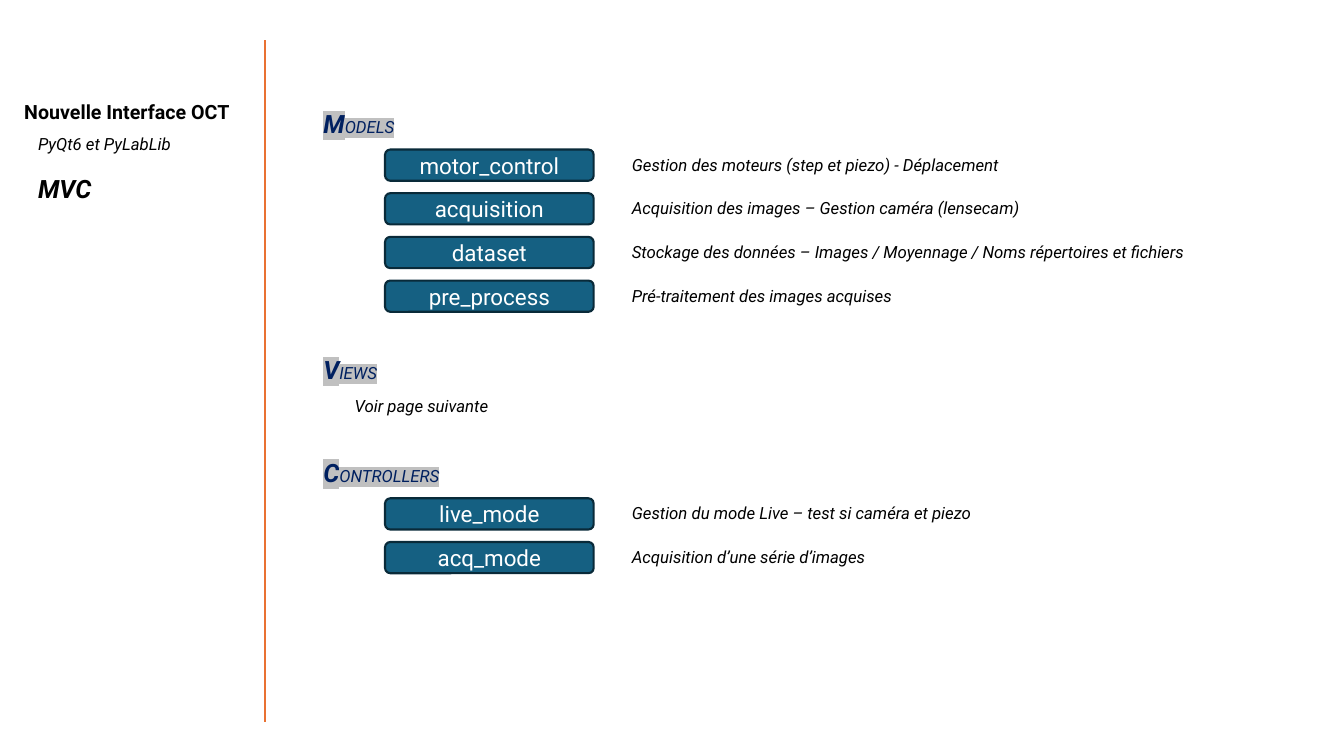
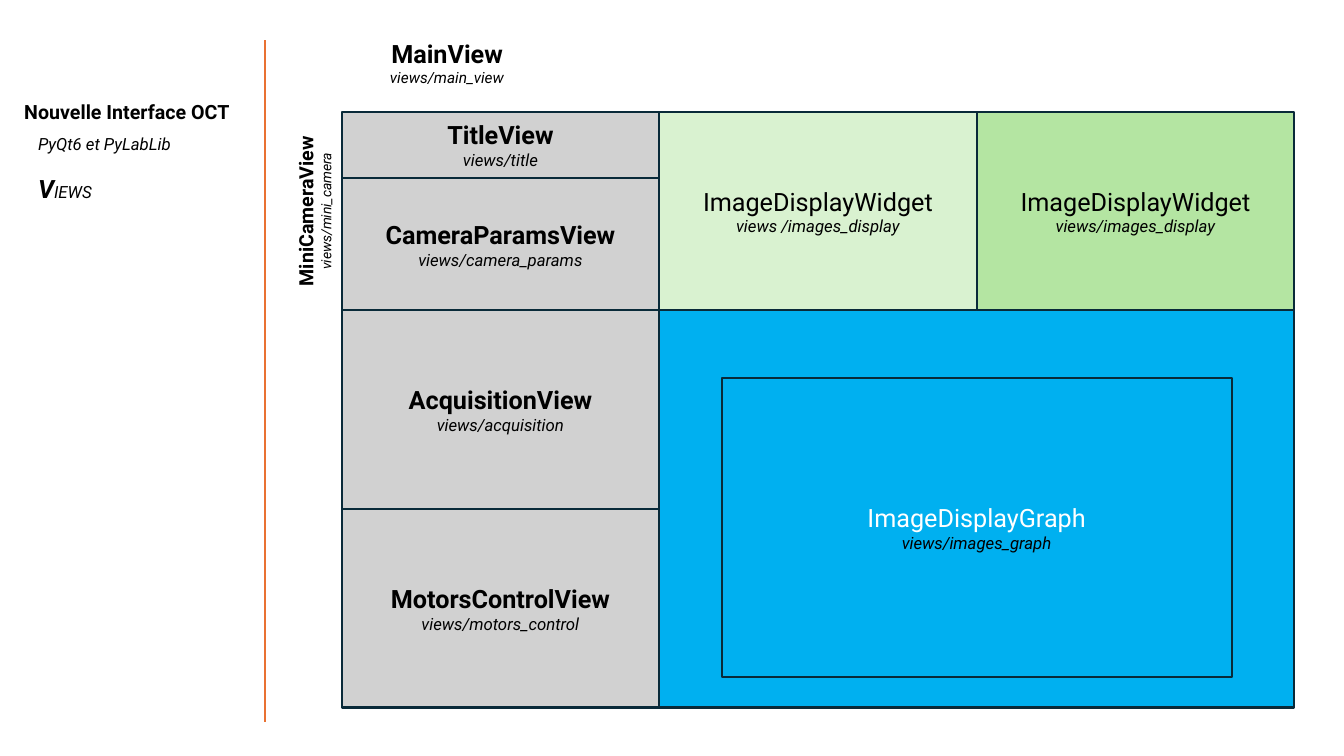
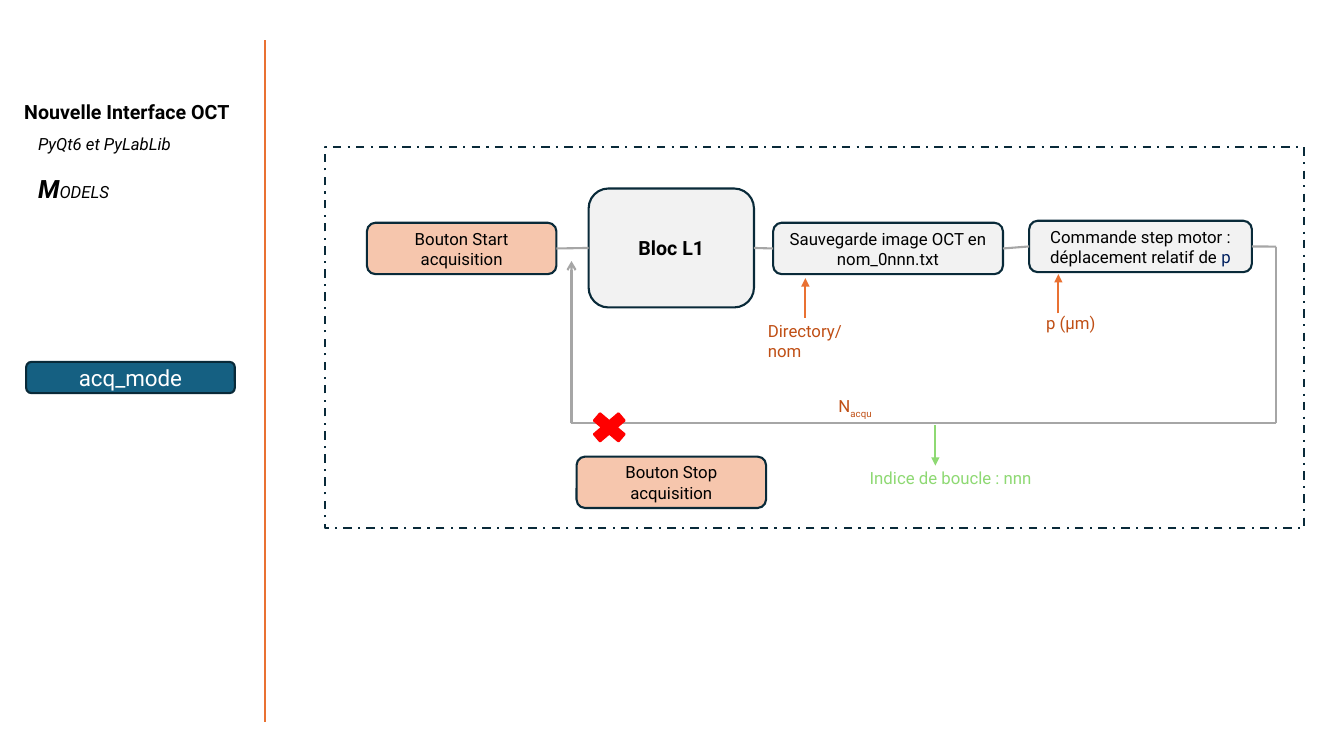
"""Build three slides that describe the model, view and controller parts of an OCT interface."""
import dataclasses

import lxml.etree
import pptx
import pptx.dml.color
import pptx.enum.dml
import pptx.enum.shapes
import pptx.enum.text
import pptx.oxml.ns
import pptx.util

COLORS = {
    "black": "000000", "white": "FFFFFF", "navy": "002060", "silver": "C0C0C0",
    "outline": "092A39", "teal": "156082", "orange": "E97132", "rust": "C04F15",
    "peach": "F6C6AD", "pale": "F2F2F2", "gray": "D1D1D1", "wire": "A6A6A6",
    "mint": "D9F2D0", "leaf": "B4E5A2", "green": "8ED973", "sky": "00B0F0", "red": "FF0000",
}
FONT = "Roboto"
COLUMNS, ROWS = 40, 22.5
CELL = 304800
SHAPES = pptx.enum.shapes.MSO_SHAPE
ALIGN = pptx.enum.text.PP_ALIGN
ANCHOR = pptx.enum.text.MSO_ANCHOR
RIGHT_SIDE, LEFT_SIDE = 3, 1


@dataclasses.dataclass
class Run:
    text: str
    size: int = 12
    color: str = "black"
    bold: bool = False
    italic: bool = False
    highlight: str = ""
    baseline: int = 0


def cells(*lengths):
    return [pptx.util.Emu(round(length * CELL)) for length in lengths]


def rgb(name):
    return pptx.dml.color.RGBColor.from_string(COLORS[name])


def add_xml(parent, tag, **attributes):
    return lxml.etree.SubElement(parent, pptx.oxml.ns.qn(tag), attributes)


def initial(word, **style):
    return [Run(word[0], 18, bold=True, italic=True, **style),
            Run(word[1:], italic=True, **style)]


def view_label(name, module, size=18, module_size=12, color="black", bold=True):
    return [[Run(name, size, color, bold)], [Run(module, module_size, italic=True)]]


class Deck:
    def __init__(self):
        self.presentation = pptx.Presentation()
        self.presentation.slide_width, self.presentation.slide_height = cells(COLUMNS, ROWS)
        self.slide = None

    def start_slide(self, topic):
        self.slide = self.presentation.slides.add_slide(self.presentation.slide_layouts[5])
        title = self.slide.shapes.title
        title.left, title.top, title.width, title.height = cells(0.42, 2.82, 7.2, 1.02)
        self.set_text(title, [[Run("Nouvelle Interface OCT", 14, bold=True)]])
        subtitle = self.text(0.84, 3.84, 6.6, 2.43,
                             [[Run("PyQt6 et PyLabLib", italic=True)], topic])
        subtitle.text_frame.paragraphs[1].space_before = pptx.util.Pt(14)
        self.line((7.89, 1.2), (7.89, 21.5), "orange")

    def set_text(self, shape, paragraphs, align=ALIGN.LEFT, anchor=ANCHOR.TOP):
        frame = shape.text_frame
        frame.word_wrap = True
        frame.auto_size = pptx.enum.text.MSO_AUTO_SIZE.NONE
        frame.vertical_anchor = anchor
        for index, runs in enumerate(paragraphs):
            paragraph = frame.add_paragraph() if index else frame.paragraphs[0]
            paragraph.alignment = align
            for style in runs:
                run = paragraph.add_run()
                run.text = style.text
                self.style_run(run, style)

    def style_run(self, run, style):
        font = run.font
        font.name, font.size = FONT, pptx.util.Pt(style.size)
        font.bold, font.italic = style.bold, style.italic
        font.color.rgb = rgb(style.color)
        properties = run._r.get_or_add_rPr()
        if style.baseline:
            properties.set("baseline", str(style.baseline * 1000))
        if style.highlight:
            highlight = add_xml(properties, "a:highlight")
            add_xml(highlight, "a:srgbClr", val=COLORS[style.highlight])
            properties.find(pptx.oxml.ns.qn("a:latin")).addprevious(highlight)

    def text(self, left, top, width, height, paragraphs, align=ALIGN.LEFT):
        shape = self.slide.shapes.add_textbox(*cells(left, top, width, height))
        self.set_text(shape, paragraphs, align)
        return shape

    def box(self, left, top, width, height, fill=None, paragraphs=(),
            kind=SHAPES.RECTANGLE, outline="outline"):
        shape = self.slide.shapes.add_shape(kind, *cells(left, top, width, height))
        shape.shadow.inherit = False
        if fill:
            shape.fill.solid()
            shape.fill.fore_color.rgb = rgb(fill)
        else:
            shape.fill.background()
        shape.line.color.rgb = rgb(outline)
        shape.line.width = pptx.util.Pt(1.5)
        self.set_text(shape, paragraphs, ALIGN.CENTER, ANCHOR.MIDDLE)
        return shape

    def step(self, left, top, width, height, fill, *runs):
        return self.box(left, top, width, height, fill, [runs], SHAPES.ROUNDED_RECTANGLE)

    def module(self, left, top, name):
        return self.step(left, top, 6.21, 0.93, "teal", Run(name, 16, "white"))

    def line(self, start, end, color, arrow=None):
        connector = self.slide.shapes.add_connector(
            pptx.enum.shapes.MSO_CONNECTOR.STRAIGHT, *cells(*start, *end))
        connector.line.color.rgb = rgb(color)
        connector.line.width = pptx.util.Pt(1.5)
        if arrow:
            add_xml(connector.line._get_or_add_ln(), "a:tailEnd", type=arrow)
        add_xml(connector._element.spPr, "a:effectLst")
        return connector

    def join(self, first, second):
        connector = self.line((0, 0), (1, 1), "wire")
        connector.begin_connect(first, RIGHT_SIDE)
        connector.end_connect(second, LEFT_SIDE)


def build_overview(deck):
    deck.start_slide([Run("MVC", 18, bold=True, italic=True)])
    groups = [
        (3.09, "MODELS", [
            ("motor_control", "Gestion des moteurs (step et piezo) - Déplacement"),
            ("acquisition", "Acquisition des images – Gestion caméra (lensecam)"),
            ("dataset", "Stockage des données – Images / Moyennage / Noms répertoires et fichiers"),
            ("pre_process", "Pré-traitement des images acquises"),
        ]),
        (10.41, "VIEWS", []),
        (13.47, "CONTROLLERS", [
            ("live_mode", "Gestion du mode Live – test si caméra et piezo"),
            ("acq_mode", "Acquisition d’une série d’images"),
        ]),
    ]
    for top, heading, modules in groups:
        deck.text(9.33, top, 4.32, 1.2, [initial(heading, color="navy", highlight="silver")])
        for index, (name, purpose) in enumerate(modules):
            module_top = top + 1.36 + 1.3 * index
            deck.module(11.46, module_top, name)
            deck.text(18.51, module_top, 18.45, 0.9, [[Run(purpose, italic=True)]])
    deck.text(10.26, 11.64, 13.02, 0.9, [[Run("Voir page suivante", italic=True)]])


def build_views(deck):
    deck.start_slide(initial("VIEWS"))
    left, top, column, row = 10.17, 3.33, 9.45, 1.97
    panels = [
        (0, 0, 1, 1, "gray", view_label("TitleView", "views/title")),
        (0, 1, 1, 2, "gray", view_label("CameraParamsView", "views/camera_params")),
        (0, 3, 1, 3, "gray", view_label("AcquisitionView", "views/acquisition")),
        (0, 6, 1, 3, "gray", view_label("MotorsControlView", "views/motors_control")),
        (1, 3, 2, 6, "sky", ()),
        (1, 0, 1, 3, "mint",
         view_label("ImageDisplayWidget", "views /images_display", bold=False)),
        (2, 0, 1, 3, "leaf",
         view_label("ImageDisplayWidget", "views/images_display", bold=False)),
    ]
    for across, down, wide, high, fill, label in panels:
        deck.box(left + across * column, top + down * row, wide * column, high * row, fill, label)
    deck.box(21.48, 11.25, 15.18, 8.91, "sky",
             view_label("ImageDisplayGraph", "views/images_graph", color="white", bold=False))
    deck.text(left, 0.99, 6.27, 1.83,
              view_label("MainView", "views/main_view", module_size=11), ALIGN.CENTER)
    camera = deck.text(5.28, 5.52, 8.16, 1.53,
                       view_label("MiniCameraView", "views/mini_camera", 14, 10), ALIGN.CENTER)
    camera.rotation = 270


def build_acquisition(deck):
    deck.start_slide(initial("MODELS"))
    deck.module(0.78, 10.77, "acq_mode")
    frame = deck.box(9.66, 4.38, 29.16, 11.34)
    frame.line.dash_style = pptx.enum.dml.MSO_LINE.DASH_DOT

    start = deck.step(10.92, 6.63, 5.64, 1.53, "peach", Run("Bouton Start acquisition"))
    block = deck.step(17.52, 5.61, 4.92, 3.54, "pale", Run("Bloc L1", 14, bold=True))
    save = deck.step(23.01, 6.63, 6.84, 1.53, "pale",
                     Run("Sauvegarde image OCT en nom_0nnn.txt"))
    motor = deck.step(30.63, 6.57, 6.63, 1.53, "pale",
                      Run("Commande step motor : déplacement relatif de "),
                      Run("p", color="navy"))
    deck.step(17.16, 13.59, 5.64, 1.53, "peach", Run("Bouton Stop acquisition"))
    for first, second in ((start, block), (block, save), (save, motor)):
        deck.join(first, second)

    loop_left, loop_right, loop_top, loop_bottom = 17.01, 37.98, 7.34, 12.6
    exit_line = deck.line((37.26, loop_top), (loop_right, loop_top), "wire")
    exit_line.begin_connect(motor, RIGHT_SIDE)
    deck.line((loop_right, loop_top), (loop_right, loop_bottom), "wire")
    deck.line((loop_right, loop_bottom), (loop_left, loop_bottom), "wire")
    deck.line((loop_left, loop_bottom), (loop_left, 7.77), "wire", "arrow")
    deck.box(17.43, 12.12, 1.41, 1.2, "red", kind=SHAPES.MATH_MULTIPLY, outline="red")

    for x, tail, tip, color in ((23.97, 9.45, 8.28, "orange"), (31.5, 9.33, 8.16, "orange"),
                                (27.84, 12.66, 13.86, "green")):
        deck.line((x, tail), (x, tip), color, "triangle")
    labels = [
        (22.56, 9.39, 3.6, [Run("Directory/nom", color="rust")]),
        (30.84, 9.15, 2.61, [Run("p (μm)", color="rust")]),
        (24.66, 11.64, 2.31, [Run("N", color="rust"), Run("acqu", color="rust", baseline=-25)]),
        (25.59, 13.77, 5.7, [Run("Indice de boucle : nnn", color="green")]),
    ]
    for left, top, width, runs in labels:
        deck.text(left, top, width, 0.9, [runs])


def main():
    deck = Deck()
    build_overview(deck)
    build_views(deck)
    build_acquisition(deck)
    deck.presentation.save("out.pptx")


if __name__ == "__main__":
    main()
